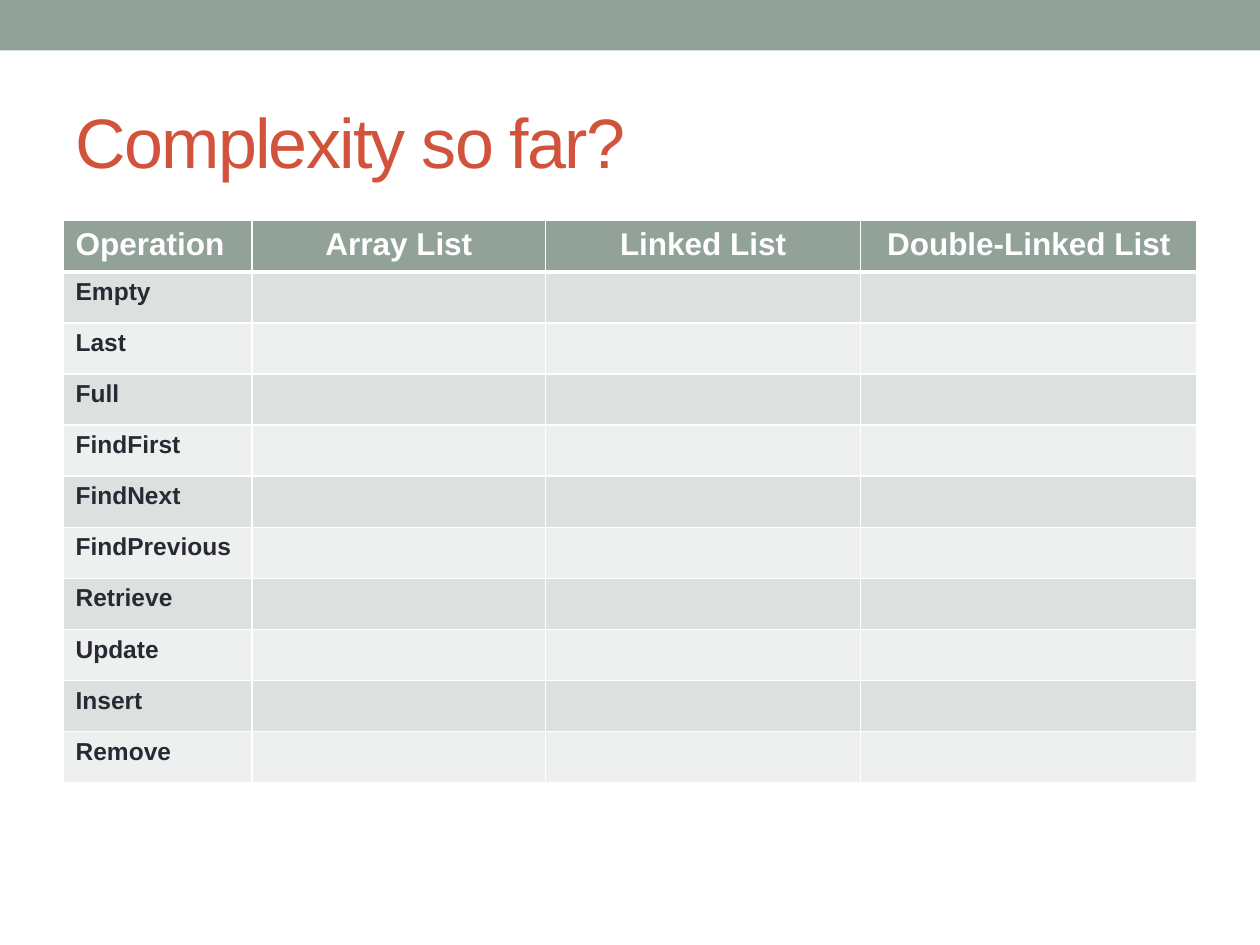
from lxml.etree import SubElement
from pptx import Presentation
from pptx.dml.color import RGBColor
from pptx.enum.shapes import MSO_SHAPE
from pptx.enum.text import MSO_ANCHOR, MSO_AUTO_SIZE, PP_ALIGN
from pptx.oxml.ns import qn
from pptx.util import Cm, Pt

COLORS = {
    "sage": "93A299",
    "title": "D2533C",
    "text": "292934",
    "white": "FFFFFF",
    "band_dark": "DCE0DE",
    "band_light": "EEF0EF",
}
FONT = "Arial"
HEADERS = ["Operation", "Array List", "Linked List", "Double-Linked List"]
OPERATIONS = ["Empty", "Last", "Full", "FindFirst", "FindNext", "FindPrevious",
              "Retrieve", "Update", "Insert", "Remove"]
COL_WIDTHS = [3.81, 5.92, 6.35, 6.78]


def rgb(name):
    return RGBColor.from_string(COLORS[name])


def add_run(p, text, size, color, bold=False):
    r = p.add_run()
    r.text = text
    r.font.name = FONT
    r.font.size = Pt(size)
    r.font.bold = bold
    r.font.color.rgb = rgb(color)
    return r


def add_top_band(slide, left, top, width, height):
    sp = slide.shapes.add_shape(MSO_SHAPE.RECTANGLE, Cm(left), Cm(top),
                                Cm(width), Cm(height))
    sp.shadow.inherit = False
    sp.fill.solid()
    sp.fill.fore_color.rgb = rgb("sage")
    sp.line.fill.background()


def add_title(slide, left, top, width, height):
    sp = slide.shapes.title
    sp.left, sp.top, sp.width, sp.height = Cm(left), Cm(top), Cm(width), Cm(height)
    tf = sp.text_frame
    tf.auto_size = MSO_AUTO_SIZE.NONE
    tf.word_wrap = True
    tf.vertical_anchor = MSO_ANCHOR.MIDDLE
    p = tf.paragraphs[0]
    p.alignment = PP_ALIGN.LEFT
    r = add_run(p, "Complexity so far?", 40, "title")
    r.font._element.set("spc", "-100")  # tighter letter spacing


def set_borders(cell, bottom):
    tc_pr = cell._tc.get_or_add_tcPr()
    for side in "LRTB":
        width = bottom if side == "B" else 1
        ln = SubElement(tc_pr, qn(f"a:ln{side}"), w=str(Pt(width)))
        fill = SubElement(ln, qn("a:solidFill"))
        SubElement(fill, qn("a:srgbClr"), val=COLORS["white"])


def format_cell(cell, fill, bottom=1):
    set_borders(cell, bottom)
    cell.fill.solid()
    cell.fill.fore_color.rgb = rgb(fill)


def add_complexity_table(slide, left, top, width, height):
    n_rows = len(OPERATIONS) + 1
    table = slide.shapes.add_table(n_rows, len(HEADERS), Cm(left), Cm(top),
                                   Cm(width), Cm(height)).table
    table.horz_banding = False
    for col, col_width in zip(table.columns, COL_WIDTHS):
        col.width = Cm(col_width)
    for row in table.rows:
        row.height = Cm(height / n_rows)

    # Header row
    for i, header in enumerate(HEADERS):
        cell = table.cell(0, i)
        format_cell(cell, "sage", bottom=3)
        p = cell.text_frame.paragraphs[0]
        p.alignment = PP_ALIGN.CENTER if i else PP_ALIGN.LEFT
        add_run(p, header, 18, "white", bold=True)

    # Operation rows, with the answers left open
    for i, operation in enumerate(OPERATIONS, start=1):
        for cell in table.rows[i].cells:
            format_cell(cell, "band_dark" if i % 2 else "band_light",)
        p = table.cell(i, 0).text_frame.paragraphs[0]
        add_run(p, operation, 14, "text", bold=True)


def main():
    prs = Presentation()
    prs.slide_width, prs.slide_height = Cm(25.4), Cm(19.05)
    s = prs.slides.add_slide(prs.slide_layouts.get_by_name("Title Only"))
    add_top_band(s, 0, 0, 25.4, 1.02)
    add_title(s, 1.27, 1.47, 22.86, 2.74)
    add_complexity_table(s, 1.27, 4.45, 22.86, 11.33)
    prs.save("out.pptx")


if __name__ == "__main__":
    main()
